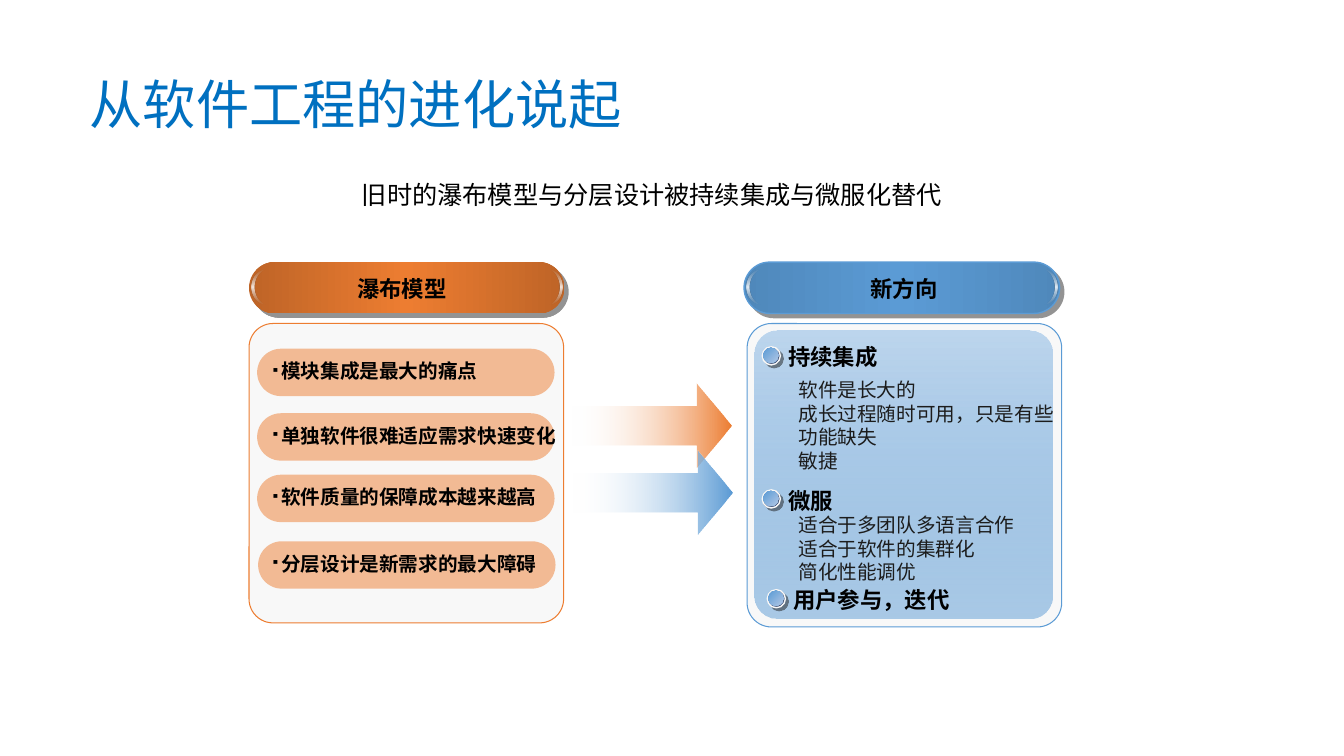
from lxml import etree
from pptx import Presentation
from pptx.dml.color import RGBColor
from pptx.enum.shapes import MSO_SHAPE
from pptx.enum.text import MSO_ANCHOR, PP_ALIGN
from pptx.oxml import parse_xml
from pptx.oxml.ns import nsdecls, qn
from pptx.util import Inches, Pt

ROUNDED, MOON, OVAL, ARROW = (MSO_SHAPE.ROUNDED_RECTANGLE, MSO_SHAPE.MOON,
                              MSO_SHAPE.OVAL, MSO_SHAPE.RIGHT_ARROW)
LEFT, CENTER = PP_ALIGN.LEFT, PP_ALIGN.CENTER
TOP, MIDDLE = MSO_ANCHOR.TOP, MSO_ANCHOR.MIDDLE

FONT = "Noto Sans CJK SC"
TITLE_BLUE = RGBColor(0x00, 0x70, 0xC0)
BLACK = RGBColor(0x00, 0x00, 0x00)
DARK = RGBColor(0x1C, 0x1C, 0x1C)
SHADE = RGBColor(0x29, 0x29, 0x29)
PALE = RGBColor(0xF8, 0xF8, 0xF8)
WHITE = RGBColor(0xFF, 0xFF, 0xFF)
GREY = RGBColor(0xB6, 0xB6, 0xB6)
ORANGE = RGBColor(0xED, 0x7D, 0x31)
DEEP_ORANGE = RGBColor(0xBE, 0x64, 0x27)
BLUE = RGBColor(0x5B, 0x9B, 0xD5)
DEEP_BLUE = RGBColor(0x4F, 0x88, 0xBB)
ICE = RGBColor(0xBD, 0xD6, 0xEE)
SKY = RGBColor(0xB0, 0xC7, 0xE5)
SILVER = RGBColor(0xDD, 0xDD, 0xE1)
NAVY = RGBColor(0x22, 0x38, 0x64)

# Content
TITLE = "从软件工程的进化说起"
SUBTITLE = "旧时的瀑布模型与分层设计被持续集成与微服化替代"
# heading, left, text left, middle colour, edge colour, outline
HEADERS = [
    ("瀑布模型", 2.47, 2.76, ORANGE, DEEP_ORANGE, None),
    ("新方向", 7.38, 7.74, BLUE, DEEP_BLUE, BLUE),
]
# text, pill left, pill top
PROBLEMS = [
    ("模块集成是最大的痛点", 2.55, 3.46),
    ("单独软件很难适应需求快速变化", 2.55, 4.1),
    ("软件质量的保障成本越来越高", 2.55, 4.71),
    ("分层设计是新需求的最大障碍", 2.56, 5.37),
]
# heading, ball left, ball top, details, details top
DIRECTIONS = [
    ("持续集成", 7.56, 3.44,
     ["软件是长大的", "成长过程随时可用，只是有些功能缺失", "敏捷"], 3.7),
    ("微服", 7.56, 4.86,
     ["适合于多团队多语言合作", "适合于软件的集群化", "简化性能调优"], 5.04),
    ("用户参与，迭代", 7.61, 5.85, [], None),
]
ARROWS = [(5.67, 3.81, ORANGE), (5.68, 4.47, BLUE)]

deck = Presentation()
deck.slide_width, deck.slide_height = Inches(13.33), Inches(7.5)
page = deck.slides.add_slide(deck.slide_layouts[6])


def add_alpha(color_element, percent):
    etree.SubElement(color_element, qn("a:alpha"), val=str(percent * 1000))


def add_figure(kind, left, top, width, height, fill, line=None, weight=1, adjust=()):
    figure = page.shapes.add_shape(
        kind, Inches(left), Inches(top), Inches(width), Inches(height))
    figure.shadow.inherit = False
    for index, value in enumerate(adjust):
        figure.adjustments[index] = value
    if fill is not None:
        figure.fill.solid()
        figure.fill.fore_color.rgb = fill
    if line is None:
        figure.line.fill.background()
    else:
        figure.line.color.rgb = line
        figure.line.width = Pt(weight)
    return figure


def add_gradient_figure(kind, frame, stops, angle, **options):
    """Stops are (position, colour, opacity), all in percent."""
    figure = add_figure(kind, *frame, None, **options)
    gradient = parse_xml(f'<a:gradFill {nsdecls("a")} rotWithShape="1"><a:gsLst/>'
                         f'<a:lin ang="{angle * 60000}" scaled="0"/></a:gradFill>')
    for position, color, opacity in stops:
        stop = etree.SubElement(gradient[0], qn("a:gs"), pos=str(position * 1000))
        color_element = etree.SubElement(stop, qn("a:srgbClr"), val=str(color))
        if opacity < 100:
            add_alpha(color_element, opacity)
    figure._element.spPr.find(qn("a:prstGeom")).addnext(gradient)
    return figure


def add_shadow(figure, color, distance):
    effects = figure._element.spPr.find(qn("a:effectLst"))
    shadow = etree.SubElement(effects, qn("a:outerShdw"), blurRad="0",
                              dist=str(Pt(distance)), dir=str(45 * 60000), algn="ctr")
    add_alpha(etree.SubElement(shadow, qn("a:srgbClr"), val=str(color)), 50)


def add_text(lines, left, top, width, height, size, color=BLACK, bold=False,
             align=LEFT, anchor=TOP, spacing=None, bullet=None):
    box = page.shapes.add_textbox(
        Inches(left), Inches(top), Inches(width), Inches(height))
    frame = box.text_frame
    frame.word_wrap = True
    frame.vertical_anchor = anchor
    frame.text = "\n".join(lines)
    for para in frame.paragraphs:
        para.alignment = align
        if spacing:
            para.line_spacing = spacing
        if bullet:
            properties = para._p.get_or_add_pPr()
            properties.set("marL", str(Inches(0.1)))
            properties.set("indent", str(-Inches(0.1)))
            etree.SubElement(properties, qn("a:buSzPct"), val="60000")
            etree.SubElement(properties, qn("a:buChar"), char=bullet)
        font = para.font
        font.name, font.size, font.bold = FONT, Pt(size), bold
        font.color.rgb = color
        defaults = para._p.pPr.find(qn("a:defRPr"))
        etree.SubElement(defaults, qn("a:ea"), typeface=FONT)


# Title and subtitle
add_text([TITLE], 0.79, 0.55, 11.74, 1.02, 38, TITLE_BLUE, anchor=MIDDLE, spacing=0.9)
add_text([SUBTITLE], 2.55, 1.73, 7.83, 0.4, 18, align=CENTER)

# Panels
add_figure(ROUNDED, 2.47, 3.21, 3.12, 2.97, PALE, ORANGE, 0.75, [0.08])
add_figure(ROUNDED, 7.41, 3.21, 3.12, 3.01, PALE, BLUE, 0.75, [0.08])
add_gradient_figure(ROUNDED, (7.48, 3.28, 2.96, 2.86),
                    [(0, ICE, 100), (100, BLUE, 50)], 90, adjust=[0.08])

# Column headers with a glint at each end
GLINT = [(0, GREY, 0), (50, WHITE, 84), (100, GREY, 0)]
for heading, left, text_left, middle, edge, outline in HEADERS:
    pill = add_gradient_figure(
        ROUNDED, (left, 2.6, 3.13, 0.51),
        [(0, edge, 100), (50, middle, 100), (100, edge, 100)], 0,
        line=outline, adjust=[0.5])
    add_shadow(pill, SHADE, 4.2)
    for offset, mirrored in ((2.97, True), (0.03, False)):
        moon = add_gradient_figure(MOON, (left + offset, 2.67, 0.14, 0.35),
                                   GLINT, 90, adjust=[0.22])
        if mirrored:
            moon._element.spPr.find(qn("a:xfrm")).set("flipH", "1")
    add_text([heading], text_left, 2.68, 2.45, 0.37, 16, bold=True, align=CENTER)

# Problems of the old model
for problem, left, top in PROBLEMS:
    pill = add_figure(ROUNDED, left, top, 2.95, 0.47, ORANGE, adjust=[0.5])
    add_alpha(pill._element.spPr.find(qn("a:solidFill"))[0], 50)
    add_text([problem], 2.59, top + 0.08, 3.3, 0.31, 14, bold=True,
             spacing=0.9, bullet="▪")

# Arrows between the columns
for left, top, color in ARROWS:
    add_gradient_figure(ARROW, (left, top, 1.58, 0.83),
                        [(0, WHITE, 0), (100, color, 100)], 0, adjust=[0.465, 0.421])

# New directions
for heading, left, top, details, details_top in DIRECTIONS:
    rim = add_gradient_figure(OVAL, (left, top, 0.18, 0.18),
                              [(0, SILVER, 100), (100, NAVY, 100)], 45, line=PALE)
    add_shadow(rim, DARK, 2.8)
    add_gradient_figure(OVAL, (left + 0.01, top + 0.01, 0.15, 0.15),
                        [(0, BLUE, 100), (100, SKY, 100)], 45)
    add_text([" " + heading], left + 0.11, top - 0.08, 2.2, 0.37, 16, bold=True)
    if details:
        add_text(details, 7.82, details_top, 2.75, 1.04, 14, DARK)

deck.save("out.pptx")
